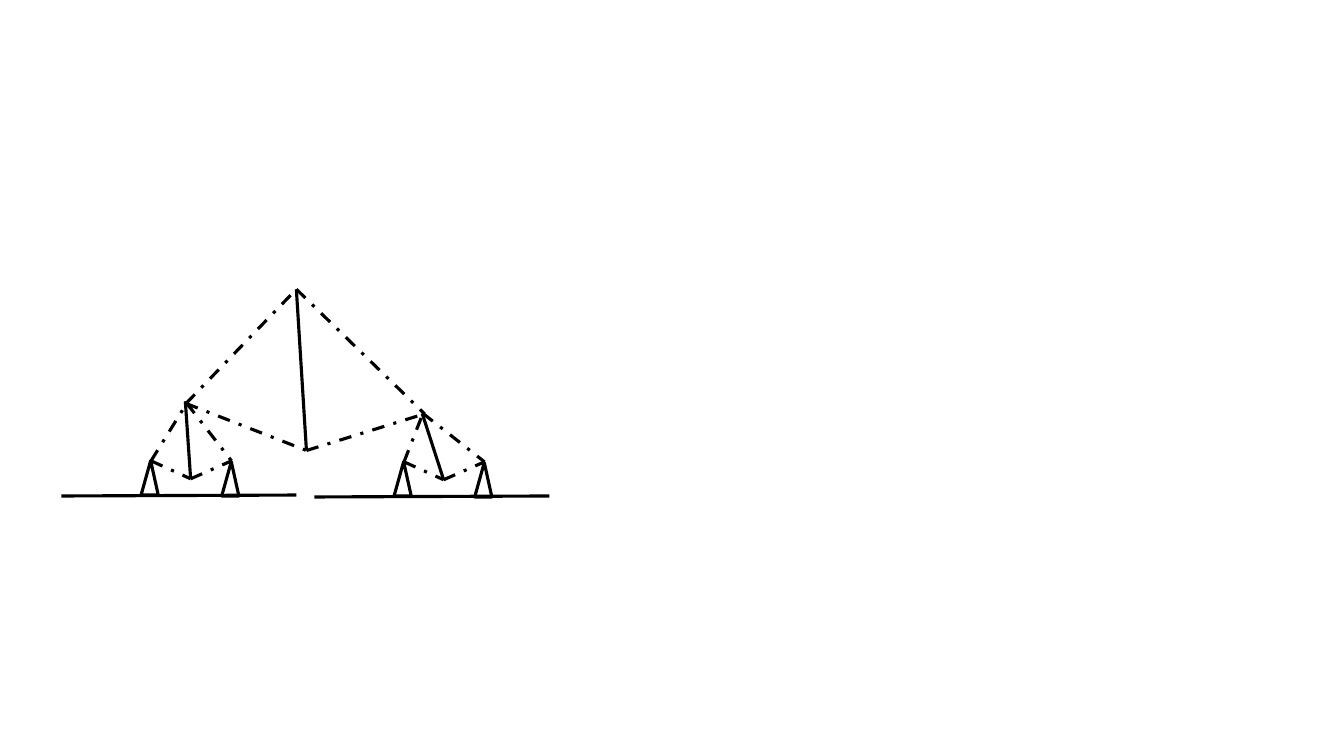
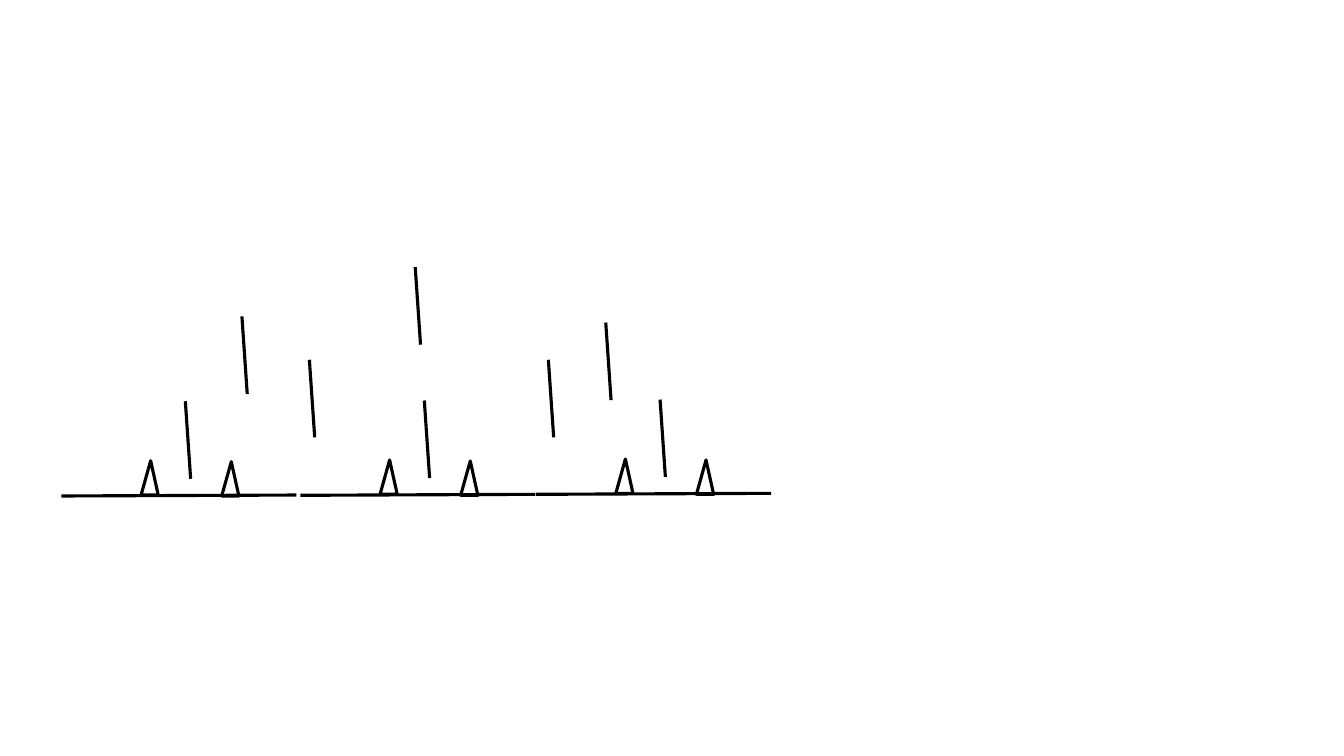
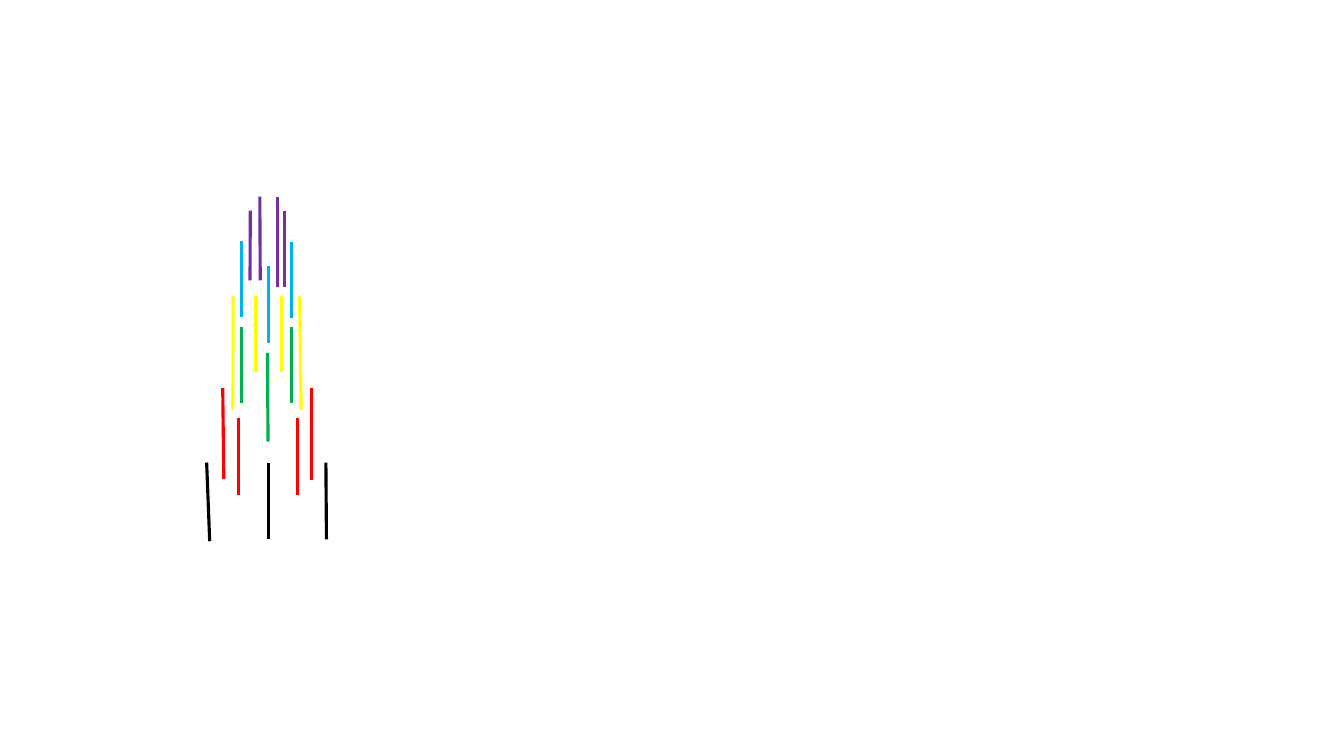
from lxml import etree
from pptx import Presentation
from pptx.dml.color import RGBColor
from pptx.enum.dml import MSO_LINE
from pptx.enum.shapes import MSO_CONNECTOR, MSO_SHAPE
from pptx.oxml.ns import qn
from pptx.util import Pt

STRAIGHT = MSO_CONNECTOR.STRAIGHT
TRIANGLE = MSO_SHAPE.ISOSCELES_TRIANGLE

BLACK = "000000"
RED = "FF0000"
GREEN = "00B050"
YELLOW = "FFFF00"
BLUE = "00B0F0"
PURPLE = "7030A0"

SOLID_FORMAT = {"width": Pt(2.25)}
DASH_FORMAT = {"width": Pt(2.25), "dash_style": MSO_LINE.DASH_DOT}

STICK_RUN, STICK_HEIGHT = 3.8, 55.4
STICK_FOOT = (92.3, STICK_HEIGHT)
STICK_HEAD = (STICK_FOOT[0] - STICK_RUN, 0)
GROUND = ((167.8, 67), (0, 67.7))
POST_CORNERS = ((56.9, 42.5), (114.5, 43.2))
POST_SIZE = (12.24, 24.48)
POST_APEX = 0.558
LEFT_PEAK, RIGHT_PEAK = (64, 42.6), (121.5, 42.6)

FREE_STICK_HEADS = ((221, 257), (391.7, 257), (296.6, 190.8), (172.8, 226), (432.7, 230.4))

TOWER_TIERS = {
    BLACK: (((2.2, 246.2), (0, 190)), ((43.9, 244.8), (43.9, 190)), ((85.6, 244.8), (85.2, 190))),
    RED: (
        ((23, 213), (23, 158.4)),
        ((64.8, 213), (64.8, 158.4)),
        ((12.3, 201.6), (11.5, 136.8)),
        ((74.9, 202.3), (74.9, 136.8)),
    ),
    GREEN: (((43.9, 175), (43.4, 111.6)), ((25.2, 147.6), (25.2, 92.9)), ((60.5, 147.6), (60.5, 92.9))),
    YELLOW: (
        ((35.3, 71.3), (35.3, 125.3)),
        ((53.3, 71.3), (53.3, 125.3)),
        ((18.9, 71.3), (18.7, 152)),
        ((66.4, 71.3), (67.5, 152.4)),
    ),
    BLUE: (((43.9, 104.4), (43.9, 49.7)), ((25.2, 85.7), (25.2, 31.7)), ((60.5, 87.1), (60.5, 32.4))),
    PURPLE: (
        ((38.3, 59.8), (38, 0)),
        ((55.4, 64.8), (55.4, 10)),
        ((31, 59.8), (31.2, 10)),
        ((50.4, 64.8), (50.4, 0)),
    ),
}


def color(hex_value):
    return RGBColor.from_string(hex_value)


def format_line(line, hex_value, formats):
    line.color.rgb = color(hex_value)
    for name, value in formats.items():
        setattr(line, name, value)


def draw_line(slide, box, start, end, hex_value=BLACK, formats=SOLID_FORMAT):
    left, top = box
    stroke = slide.shapes.add_connector(
        STRAIGHT, Pt(left + start[0]), Pt(top + start[1]), Pt(left + end[0]), Pt(top + end[1])
    )
    format_line(stroke.line, hex_value, formats)
    etree.SubElement(stroke._element.spPr, qn("a:effectLst"))


def draw_links(slide, box, links):
    for start, end in links:
        draw_line(slide, box, start, end, formats=DASH_FORMAT)


def draw_post(slide, box, corner):
    left, top = box
    width, height = POST_SIZE
    post = slide.shapes.add_shape(
        TRIANGLE, Pt(left + corner[0]), Pt(top + corner[1]), Pt(width), Pt(height)
    )
    post.adjustments[0] = POST_APEX
    post.shadow.inherit = False
    post.fill.background()
    format_line(post.line, BLACK, SOLID_FORMAT)


def draw_station(slide, box, stick_head=STICK_HEAD):
    for corner in POST_CORNERS:
        draw_post(slide, box, corner)
    draw_line(slide, box, STICK_FOOT, stick_head)
    draw_line(slide, box, *GROUND)


def draw_station_links(slide, box, joint):
    draw_links(slide, box, (
        (STICK_FOOT, RIGHT_PEAK),
        (LEFT_PEAK, STICK_FOOT),
        (LEFT_PEAK, joint),
        (joint, RIGHT_PEAK),
    ))


def draw_arch(slide, box):
    peak, foot = (79.2, 0), (86.4, 115.2)
    left_joint, right_joint = (0.4, 81.6), (170.8, 89)
    draw_line(slide, box, foot, peak)
    draw_links(slide, box, (
        (left_joint, foot),
        (foot, right_joint),
        (left_joint, peak),
        (peak, right_joint),
    ))


def build_linked_slide(slide):
    stations = (
        ((43.9, 286.6), STICK_HEAD, (89.5, 1.5)),
        ((224.6, 287.3), (77, 8), (77.5, 8)),
    )
    for box, stick_head, joint in stations:
        draw_station(slide, box, stick_head)
        draw_station_links(slide, box, joint)
    draw_arch(slide, (132.5, 206.6))


def build_sticks_slide(slide):
    for box in ((43.9, 286.6), (214.6, 286.1), (383, 285.4)):
        draw_station(slide, box)
    for head in FREE_STICK_HEADS:
        draw_line(slide, head, (STICK_RUN, STICK_HEIGHT), (0, 0))


def draw_tower(slide, box):
    for hex_value, strands in TOWER_TIERS.items():
        for start, end in strands:
            draw_line(slide, box, start, end, hex_value)


def build_tower_slide(slide):
    draw_tower(slide, (147.6, 140.4))


def main():
    deck = Presentation()
    deck.slide_width, deck.slide_height = Pt(960), Pt(540)
    blank = deck.slide_layouts[6]
    for build in (build_linked_slide, build_sticks_slide, build_tower_slide):
        build(deck.slides.add_slide(blank))
    deck.save("out.pptx")


if __name__ == "__main__":
    main()
